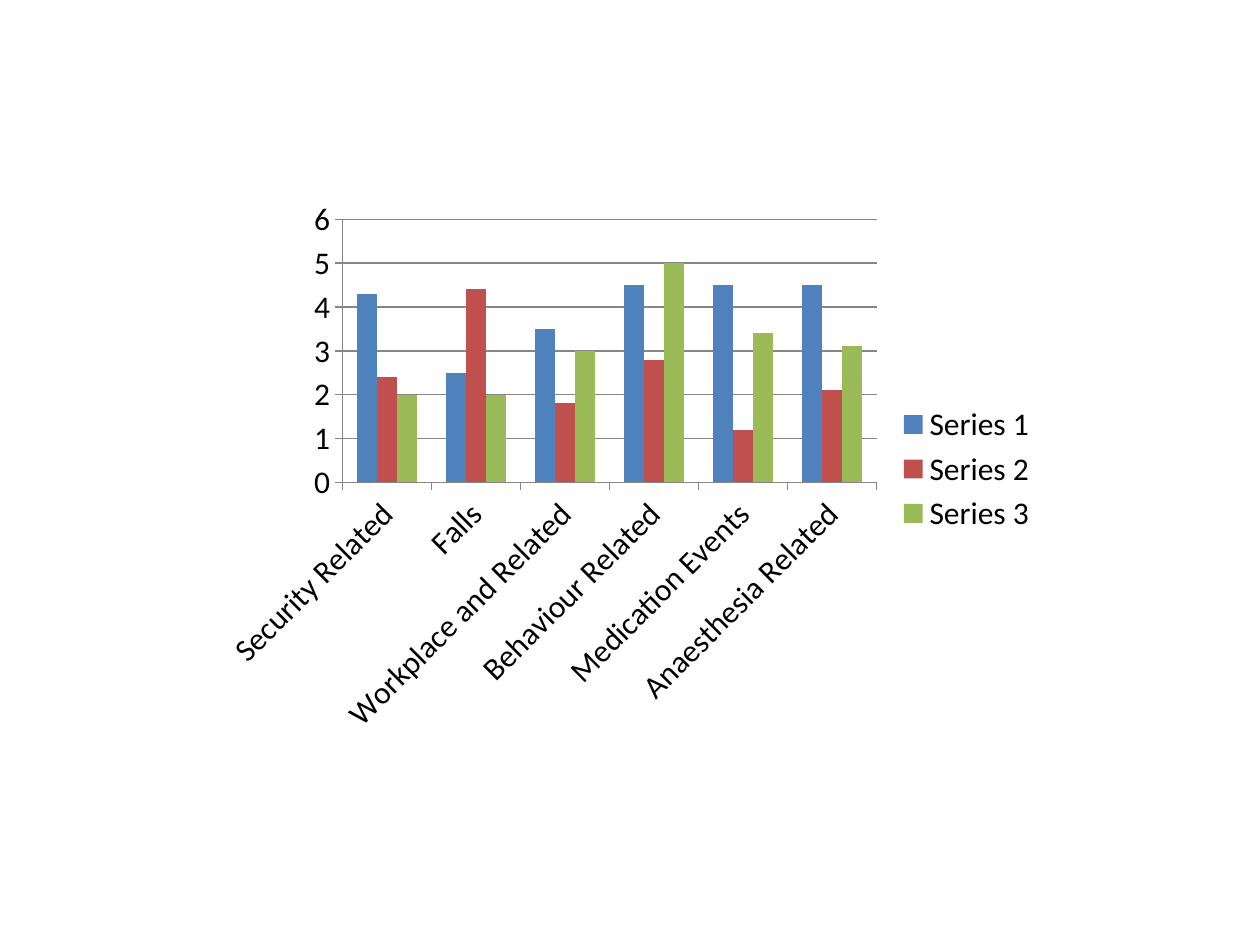
import dataclasses

import pptx
import pptx.chart.data
import pptx.dml.color
import pptx.dml.fill
import pptx.dml.line
import pptx.enum.chart
import pptx.util

Inches = pptx.util.Inches
SLIDE_WIDTH = 10
CHART_WIDTH = SLIDE_WIDTH * 2 / 3
CHART_HEIGHT = CHART_WIDTH * 2 / 3
CHART_LEFT = (SLIDE_WIDTH - CHART_WIDTH) / 2
CHART_TOP = 1.5
AXIS_GRAY = "868686"


@dataclasses.dataclass(frozen=True)
class IncidentSeries:
    name: str
    values: tuple[float, ...]
    color: str


CATEGORIES = (
    "Security Related",
    "Falls",
    " Workplace and Related",
    "Behaviour Related",
    "Medication Events",
    "Anaesthesia Related",
)
SERIES = (
    IncidentSeries("Series 1", (4.3, 2.5, 3.5, 4.5, 4.5, 4.5), "4F81BD"),
    IncidentSeries("Series 2", (2.4, 4.4, 1.8, 2.8, 1.2, 2.1), "C0504D"),
    IncidentSeries("Series 3", (2, 2, 3, 5, 3.4, 3.1), "9BBB59"),
)


def rgb(color: str) -> pptx.dml.color.RGBColor:
    return pptx.dml.color.RGBColor.from_string(color)


def fill_solid(fill: pptx.dml.fill.FillFormat, color: str) -> None:
    fill.solid()
    fill.fore_color.rgb = rgb(color)


def style_line(line: pptx.dml.line.LineFormat) -> None:
    fill_solid(line.fill, AXIS_GRAY)
    line.width = pptx.util.Pt(0.75)


def add_incident_chart(slide: pptx.slide.Slide) -> None:
    chart_data = pptx.chart.data.CategoryChartData()
    chart_data.categories = CATEGORIES
    for series in SERIES:
        chart_data.add_series(series.name, series.values)

    chart = slide.shapes.add_chart(
        pptx.enum.chart.XL_CHART_TYPE.COLUMN_CLUSTERED,
        Inches(CHART_LEFT), Inches(CHART_TOP),
        Inches(CHART_WIDTH), Inches(CHART_HEIGHT),
        chart_data,
    ).chart
    chart.has_title = False
    chart.font.name = "Calibri"
    chart.font.size = pptx.util.Pt(18)
    chart.font.color.rgb = rgb("000000")

    chart.has_legend = True
    chart.legend.position = pptx.enum.chart.XL_LEGEND_POSITION.RIGHT
    chart.legend.include_in_layout = False

    plot = chart.plots[0]
    plot.gap_width = 150
    plot.vary_by_categories = False
    for drawn_series, series in zip(plot.series, SERIES):
        fill_solid(drawn_series.format.fill, series.color)

    for axis in (chart.category_axis, chart.value_axis):
        axis.major_tick_mark = pptx.enum.chart.XL_TICK_MARK.OUTSIDE
        axis.minor_tick_mark = pptx.enum.chart.XL_TICK_MARK.NONE
        style_line(axis.format.line)
    chart.category_axis.has_major_gridlines = False
    chart.value_axis.has_major_gridlines = True
    style_line(chart.value_axis.major_gridlines.format.line)


def main() -> None:
    presentation = pptx.Presentation()
    presentation.slide_width = Inches(SLIDE_WIDTH)
    presentation.slide_height = Inches(7.5)
    slide = presentation.slides.add_slide(presentation.slide_layouts[6])
    fill_solid(slide.background.fill, "FFFFFF")
    add_incident_chart(slide)
    presentation.save("out.pptx")


if __name__ == "__main__":
    main()
